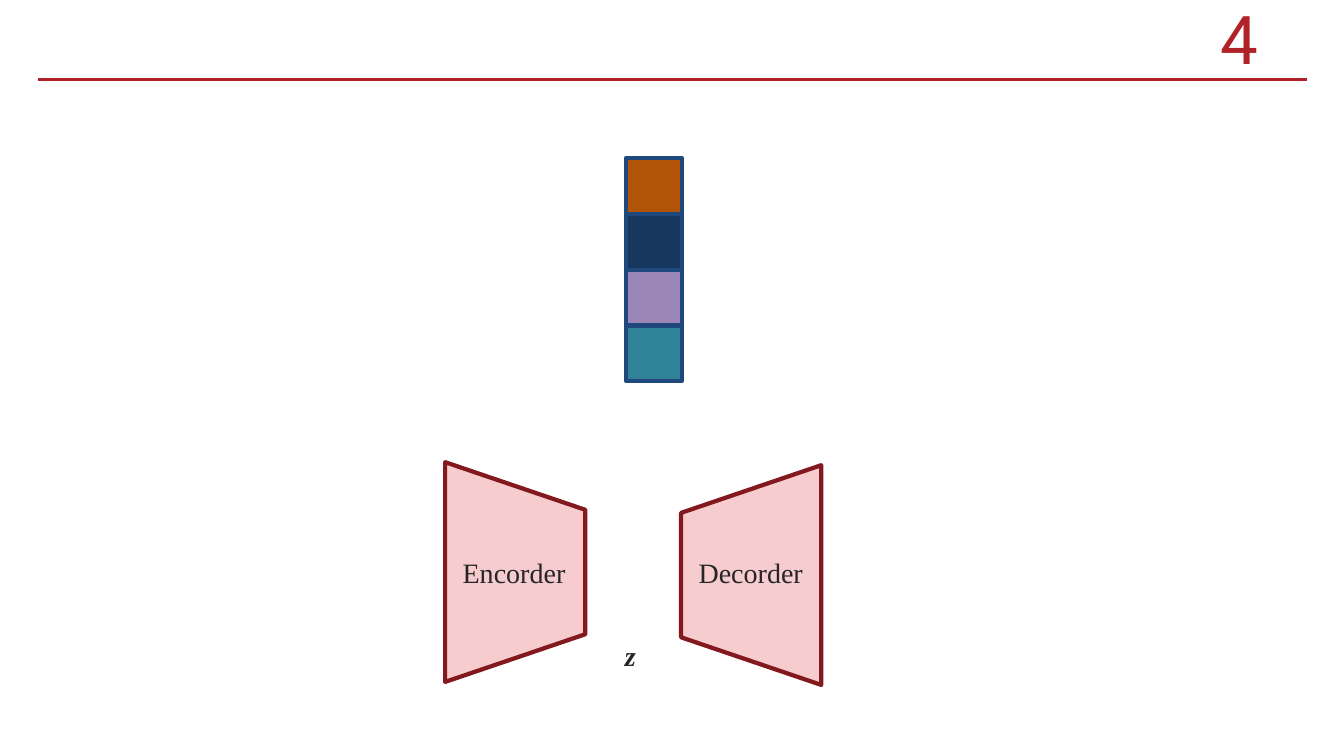
from lxml import etree
from pptx import Presentation
from pptx.dml.color import RGBColor
from pptx.enum.shapes import MSO_CONNECTOR, MSO_SHAPE
from pptx.enum.text import MSO_ANCHOR, PP_ALIGN
from pptx.oxml.ns import qn
from pptx.util import Inches, Pt

STRAIGHT = MSO_CONNECTOR.STRAIGHT
RECT = MSO_SHAPE.RECTANGLE
TRAPEZOID = MSO_SHAPE.TRAPEZOID
LEFT, CENTER = PP_ALIGN.LEFT, PP_ALIGN.CENTER
TOP, MIDDLE = MSO_ANCHOR.TOP, MSO_ANCHOR.MIDDLE

RED, DARK_RED, PINK = "B12128", "83181E", "F6CCCE"
NAVY, INK = "1F497D", "262626"
VECTOR_COLORS = ["B15407", "17375E", "9C86B7", "308298"]


def rgb(color):
    return RGBColor.from_string(color)


def write(tf, text, size=20, font="Times New Roman", color=INK,
          bold=False, italic=False, align=LEFT):
    p = tf.paragraphs[0]
    p.alignment = align
    r = p.add_run()
    r.text = text
    r.font.size = Pt(size)
    r.font.name = font
    r.font.color.rgb = rgb(color)
    r.font.bold = bold
    r.font.italic = italic


class SlideBuilder:
    def __init__(self, slide, line_width=3):
        self.slide = slide
        self.line_width = line_width

    def rule(self, x1, y1, x2, y2, color, width):
        line = self.slide.shapes.add_connector(
            STRAIGHT, Inches(x1), Inches(y1), Inches(x2), Inches(y2))
        line.line.color.rgb = rgb(color)
        line.line.width = Pt(width)
        etree.SubElement(line._element.spPr, qn("a:effectLst"))

    def shape(self, kind, x, y, w, h, fill, line, parent=None):
        shapes = (parent or self.slide).shapes
        sp = shapes.add_shape(kind, Inches(x), Inches(y), Inches(w), Inches(h))
        sp.shadow.inherit = False
        sp.fill.solid()
        sp.fill.fore_color.rgb = rgb(fill)
        sp.line.color.rgb = rgb(line)
        sp.line.width = Pt(self.line_width)
        return sp

    def vector(self, x, y, cell, colors):
        group = self.slide.shapes.add_group_shape()
        for i, color in enumerate(colors):
            self.shape(RECT, x, y + i * cell, cell, cell, color, NAVY, group)

    def trapezoid(self, x, y, rotation):
        sp = self.shape(TRAPEZOID, x, y, 2.18, 1.39, PINK, DARK_RED)
        sp.adjustments[0] = 0.34
        sp.rotation = rotation

    def text(self, text, x, y, w, h, anchor=TOP, **style):
        tf = self.slide.shapes.add_textbox(
            Inches(x), Inches(y), Inches(w), Inches(h)).text_frame
        tf.word_wrap = True
        tf.vertical_anchor = anchor
        write(tf, text, **style)


def main():
    prs = Presentation()
    prs.slide_width, prs.slide_height = Inches(13.33), Inches(7.5)
    s = SlideBuilder(prs.slides.add_slide(prs.slide_layouts[6]))

    s.rule(0.38, 0.79, 12.96, 0.79, RED, 2.25)
    s.text("4", 11.76, 0.13, 1.06, 0.49, anchor=MIDDLE,
           size=48, font="Roboto", color=RED, align=CENTER)

    s.vector(6.21, 1.57, 0.553, VECTOR_COLORS)

    s.trapezoid(4.02, 4.98, 90)
    s.trapezoid(6.36, 5.01, 270)
    s.text("Encorder", 4.49, 5.46, 1.25, 0.44)
    s.text("Decorder", 6.83, 5.46, 1.25, 0.44)
    s.text("z", 6.1, 6.29, 0.34, 0.44, bold=True, italic=True)

    prs.save("out.pptx")


if __name__ == "__main__":
    main()
